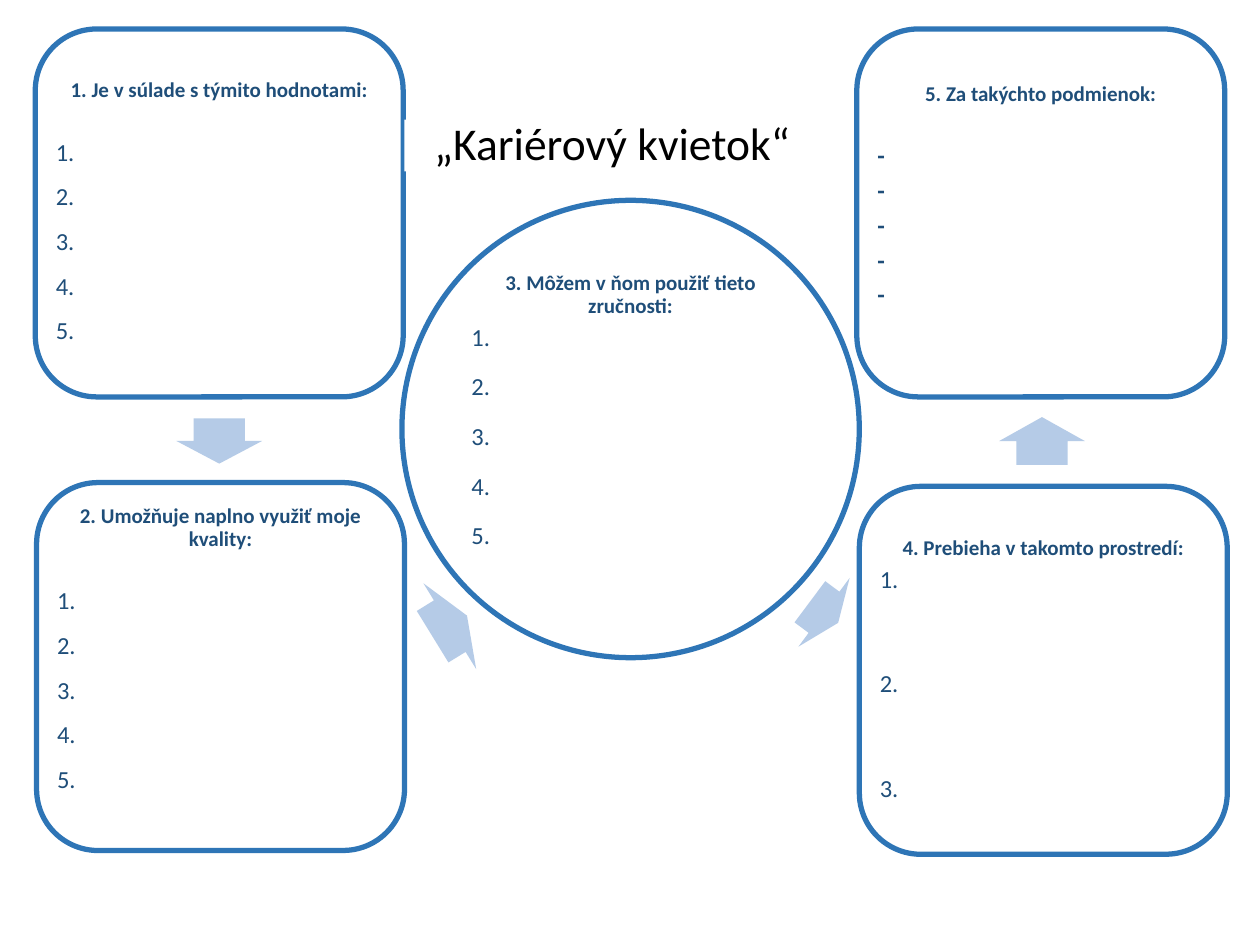
"""Build the career flower slide: five linked cards around a title."""
from dataclasses import dataclass

import pptx
import pptx.dml.color
import pptx.enum.shapes
import pptx.enum.text
import pptx.util
from pptx.presentation import Presentation
from pptx.shapes.autoshape import Shape
from pptx.slide import Slide
from pptx.text.text import TextFrame, _Paragraph

SHAPES = pptx.enum.shapes.MSO_SHAPE
ANCHOR = pptx.enum.text.MSO_ANCHOR
ALIGN = pptx.enum.text.PP_ALIGN


@dataclass(frozen=True)
class Theme:
    font: str = "Calibri"
    background: str = "FFFFFF"
    title: str = "000000"
    text: str = "1F4E79"
    outline: str = "2E75B6"
    arrow: str = "B5CBE7"
    title_size: float = 26
    heading_size: float = 12
    item_size: float = 14
    outline_width: float = 3
    line_spacing: float = 0.9


@dataclass(frozen=True)
class Box:
    column: float
    row: float
    columns: float
    rows: float


@dataclass(frozen=True)
class Card:
    box: Box
    heading: str
    items: list[str]
    top_inset: float
    heading_gap: float
    item_gap: float
    outline: SHAPES = SHAPES.ROUNDED_RECTANGLE
    bold_items: bool = False


@dataclass(frozen=True)
class Arrow:
    box: Box
    rotation: float


THEME = Theme()
WIDTH, HEIGHT = pptx.util.Inches(10), pptx.util.Inches(7.5)
COLUMN, ROW = WIDTH / 100, HEIGHT / 75
SIDE = 29.2
CIRCLE = 36.3
INSET = 0.02


def numbers(count: int) -> list[str]:
    """Return the labels of a numbered list."""
    return [f"{number}." for number in range(1, count + 1)]


CARDS = [
    Card(Box(68, 2.3, SIDE, SIDE), "5. Za takýchto podmienok:", ["-"] * 5,
         0.29, 21.5, 4.7, bold_items=True),
    Card(Box(68.2, 38.6, SIDE, SIDE), "4. Prebieha v takomto prostredí:", numbers(3),
         0.26, 4.2, 44.6),
    Card(Box(31.9, 15.9, CIRCLE, CIRCLE), "3. Môžem v ňom použiť tieto zručnosti:", numbers(5),
         0.04, 4.2, 13.2, SHAPES.OVAL),
    Card(Box(2.9, 38.3, SIDE, SIDE), "2. Umožňuje naplno využiť moje kvality:", numbers(5),
         0.04, 21.5, 10.4),
    Card(Box(2.8, 2.3, SIDE, SIDE), "1. Je v súlade s týmito hodnotami:", numbers(5),
         0.26, 21.5, 10.4),
]
ARROWS = [
    Arrow(Box(80.8, 31.6, 3.8, 6.8), 270),
    Arrow(Box(64, 45.2, 2.8, 6.8), 36.7),
    Arrow(Box(34.1, 45.7, 3.2, 8), 328.4),
    Arrow(Box(15.6, 31.6, 3.6, 6.8), 90),
]
TITLE_BOX = Box(32.1, 9.5, 33, 4.1)


def color(value: str) -> pptx.dml.color.RGBColor:
    """Convert a hexadecimal colour."""
    return pptx.dml.color.RGBColor.from_string(value)


def place(box: Box) -> tuple[int, int, int, int]:
    """Convert grid units to slide lengths."""
    return (round(box.column * COLUMN), round(box.row * ROW),
            round(box.columns * COLUMN), round(box.rows * ROW))


def set_frame(frame: TextFrame, anchor: ANCHOR, inset: float, top: float) -> None:
    """Set wrapping, anchor and insets of a text frame."""
    frame.word_wrap = True
    frame.auto_size = pptx.enum.text.MSO_AUTO_SIZE.NONE
    frame.vertical_anchor = anchor
    frame.margin_left = frame.margin_right = frame.margin_bottom = pptx.util.Inches(inset)
    frame.margin_top = pptx.util.Inches(top)


def write(paragraph: _Paragraph, text: str, size: float, ink: str, bold: bool,
          alignment: ALIGN, gap: float = 0) -> None:
    """Fill a paragraph with one formatted run."""
    paragraph.alignment = alignment
    paragraph.line_spacing = THEME.line_spacing
    paragraph.space_before = pptx.util.Pt(0)
    paragraph.space_after = pptx.util.Pt(gap)
    run = paragraph.add_run()
    run.text = text
    run.font.name = THEME.font
    run.font.size = pptx.util.Pt(size)
    run.font.bold = bold
    run.font.color.rgb = color(ink)


def add_shape(slide: Slide, kind: SHAPES, box: Box) -> Shape:
    """Add a preset shape without a shadow."""
    shape = slide.shapes.add_shape(kind, *place(box))
    shape.shadow.inherit = False
    return shape


def add_card(slide: Slide, card: Card) -> None:
    """Draw an outlined card with its heading and list."""
    shape = add_shape(slide, card.outline, card.box)
    shape.fill.background()
    shape.line.color.rgb = color(THEME.outline)
    shape.line.width = pptx.util.Pt(THEME.outline_width)
    frame = shape.text_frame
    set_frame(frame, ANCHOR.TOP, INSET, card.top_inset)
    write(frame.paragraphs[0], card.heading, THEME.heading_size, THEME.text, True,
          ALIGN.CENTER, card.heading_gap)
    for item in card.items:
        write(frame.add_paragraph(), item, THEME.item_size, THEME.text, card.bold_items,
              ALIGN.LEFT, card.item_gap)


def add_arrow(slide: Slide, arrow: Arrow) -> None:
    """Draw a block arrow between two cards."""
    shape = add_shape(slide, SHAPES.RIGHT_ARROW, arrow.box)
    shape.adjustments[0] = 0.6
    shape.adjustments[1] = 0.5
    shape.rotation = arrow.rotation
    shape.fill.solid()
    shape.fill.fore_color.rgb = color(THEME.arrow)
    shape.line.fill.background()


def set_title(slide: Slide, text: str) -> None:
    """Format the title placeholder and bring it to the front."""
    title = slide.shapes.title
    title.left, title.top, title.width, title.height = place(TITLE_BOX)
    title.fill.solid()
    title.fill.fore_color.rgb = color(THEME.background)
    set_frame(title.text_frame, ANCHOR.MIDDLE, 0, 0)
    write(title.text_frame.paragraphs[0], text, THEME.title_size, THEME.title, False,
          ALIGN.CENTER)
    title.element.getparent().append(title.element)


def main() -> None:
    """Build and save the presentation."""
    presentation: Presentation = pptx.Presentation()
    presentation.slide_width, presentation.slide_height = WIDTH, HEIGHT
    slide = presentation.slides.add_slide(presentation.slide_layouts.get_by_name("Title Only"))
    for card in CARDS:
        add_card(slide, card)
    for arrow in ARROWS:
        add_arrow(slide, arrow)
    set_title(slide, "„Kariérový kvietok“")
    presentation.save("out.pptx")


if __name__ == "__main__":
    main()
